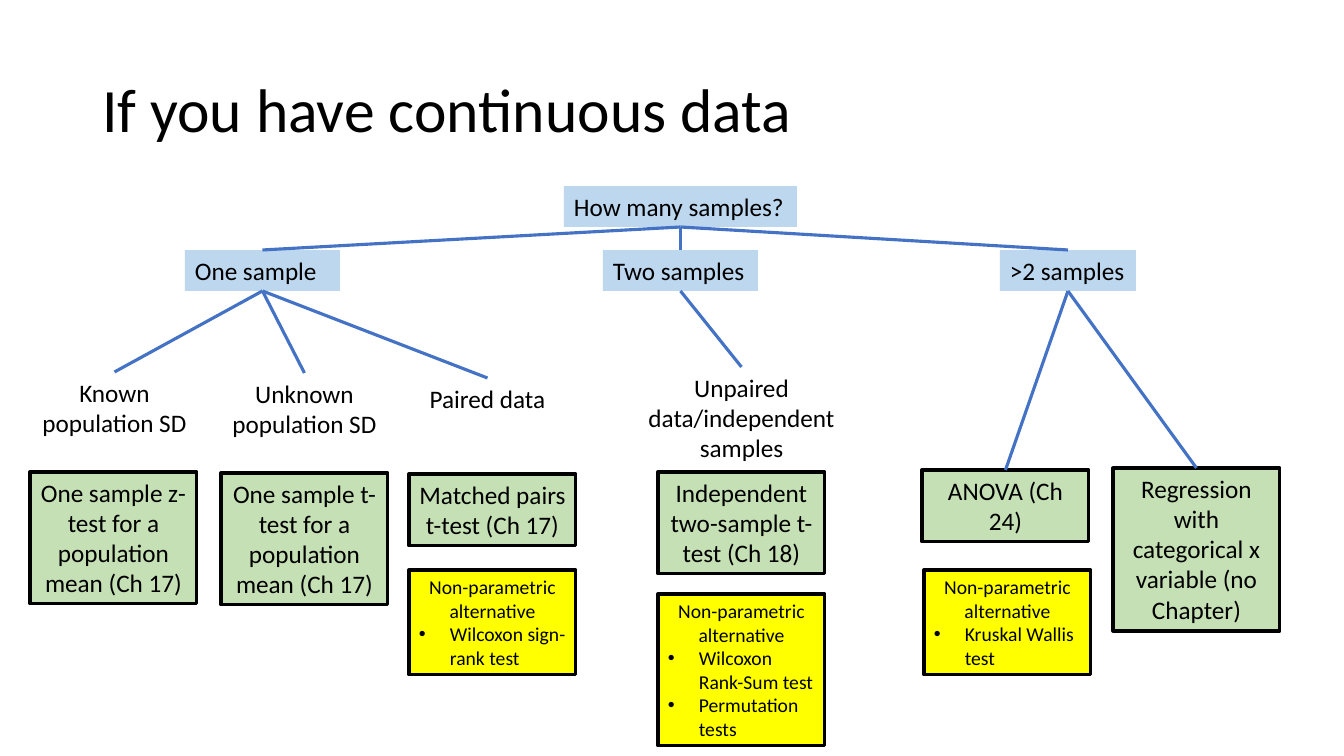
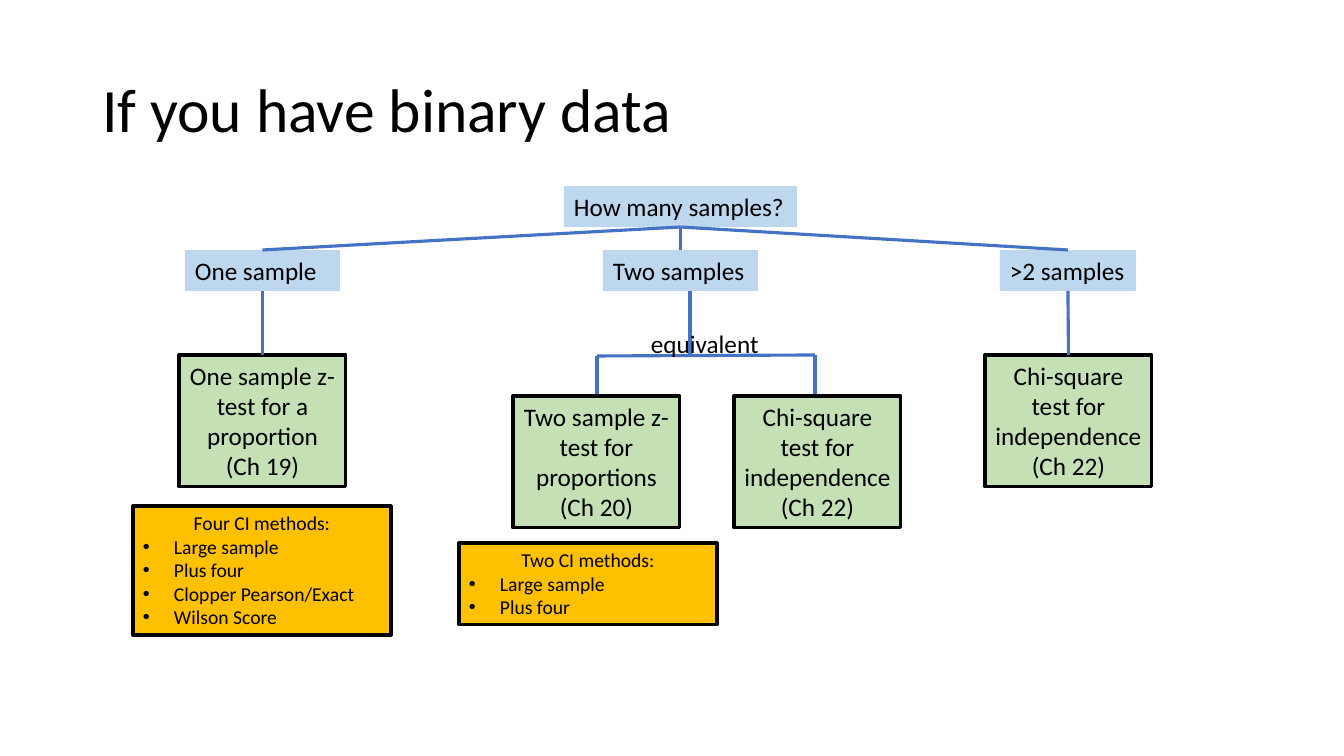
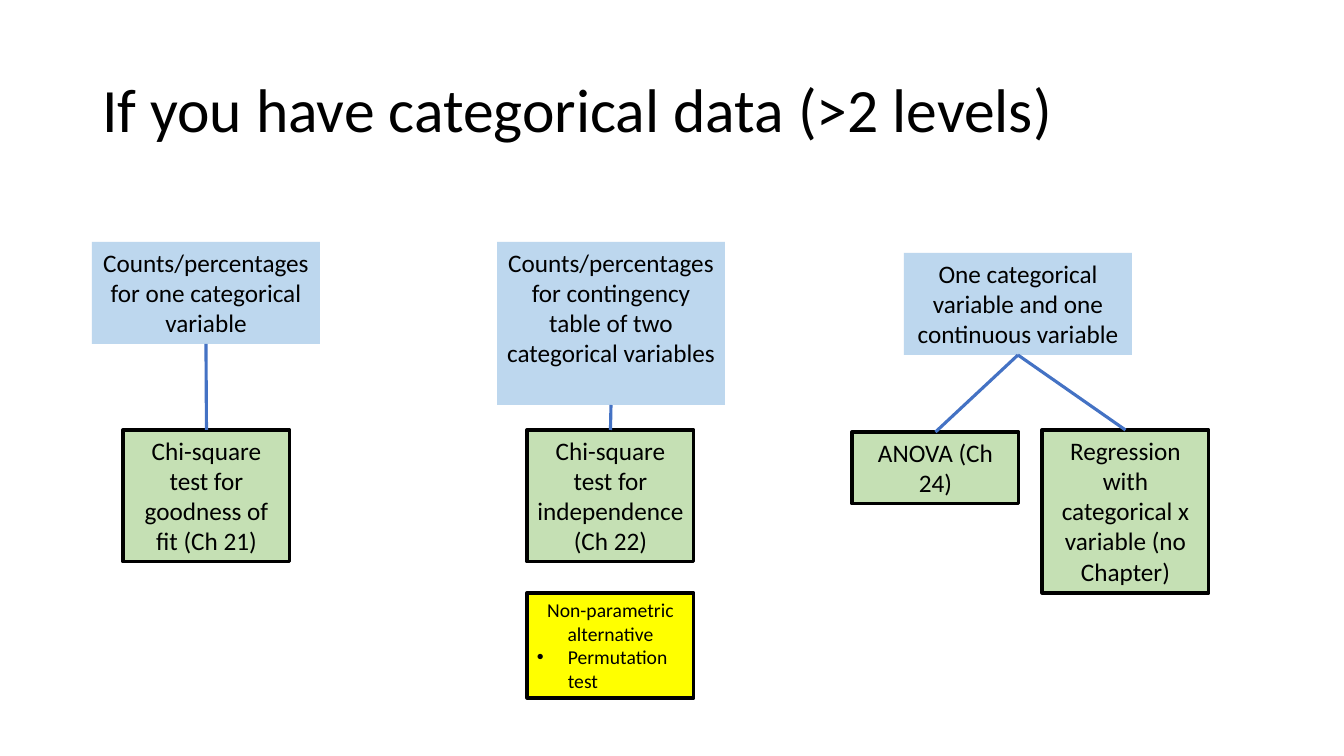
from lxml import etree
from pptx import Presentation
from pptx import util as u
from pptx.dml import color
from pptx.enum import shapes, text
from pptx.oxml import ns

PX = 914400 / 100.8
FONT = "Calibri"
BLACK, BLUE = "000000", "4472C4"
LEFT, CENTER = text.PP_ALIGN.LEFT, text.PP_ALIGN.CENTER
STROKE = u.Pt(2.25)
BULLET_INDENT = 31
BOTTOM_SITE, TOP_SITE = 2, 0

# kind: fill, outlined, text size, alignment of the first paragraph
STYLES = {
    "question": ("BDD7EE", False, 18, LEFT),
    "topic": ("BDD7EE", False, 18, CENTER),
    "case": (None, False, 18, CENTER),
    "remark": (None, False, 18, LEFT),
    "test": ("C5E0B4", True, 18, CENTER),
    "alternative": ("FFFF00", True, 14, CENTER),
    "methods": ("FFC000", True, 14, CENTER),
}


def paint(fill, hex_color):
    """Give a fill, line fill or font fill one solid colour."""
    fill.solid()
    fill.fore_color.rgb = color.RGBColor.from_string(hex_color)


def write(para, words, size):
    """Add one run of black text to a paragraph."""
    span = para.add_run()
    span.text = words
    span.font.name = FONT
    span.font.size = u.Pt(size)
    paint(span.font.fill, BLACK)


# Boxes: name, kind, (left, top, width, height), heading, then bullets
SAMPLE_BOXES = [
    ("samples", "question", (564, 186, 233, 41), "How many samples?"),
    ("one", "question", (185, 250, 155, 41), "One sample"),
    ("two", "question", (603, 250, 155, 41), "Two samples"),
    ("many", "question", (1000, 250, 136, 41), ">2 samples"),
]
SAMPLE_LINKS = [("samples", "one"), ("samples", "two"), ("samples", "many")]
NON_PARAMETRIC = "Non-parametric alternative"
ANOVA = "ANOVA (Ch 24)"
REGRESSION = "Regression with categorical x variable (no Chapter)"
INDEPENDENCE = "Chi-square test for independence (Ch 22)"

# Slides: title, boxes, links between boxes, free lines
SLIDES = [
    ("If you have continuous data",
     SAMPLE_BOXES + [
         ("known", "case", (31, 372, 167, 72), "Known population SD"),
         ("unknown", "case", (221, 373, 167, 72), "Unknown population SD"),
         ("paired", "case", (404, 378, 167, 41), "Paired data"),
         ("unpaired", "case", (625, 367, 233, 102),
          "Unpaired data/independent samples"),
         ("z", "test", (30, 472, 167, 132),
          "One sample z-test for a population mean (Ch 17)"),
         ("t", "test", (221, 473, 167, 132),
          "One sample t-test for a population mean (Ch 17)"),
         ("matched", "test", (409, 474, 167, 72),
          "Matched pairs t-test (Ch 17)"),
         ("independent", "test", (658, 472, 167, 102),
          "Independent two-sample t-test (Ch 18)"),
         ("anova", "test", (922, 470, 167, 72), ANOVA),
         ("regression", "test", (1113, 468, 167, 163), REGRESSION),
         ("sign", "alternative", (409, 570, 167, 105), NON_PARAMETRIC,
          "Wilcoxon sign-rank test"),
         ("kruskal", "alternative", (924, 570, 167, 105), NON_PARAMETRIC,
          "Kruskal Wallis test"),
         ("rank", "alternative", (658, 594, 167, 152), NON_PARAMETRIC,
          "Wilcoxon Rank-Sum test", "Permutation tests"),
     ],
     SAMPLE_LINKS + [("one", "known"), ("one", "unknown"), ("one", "paired"),
                     ("two", "unpaired"), ("many", "anova"),
                     ("many", "regression")],
     []),
    ("If you have binary data",
     SAMPLE_BOXES + [
         ("z", "test", (179, 355, 167, 132),
          "One sample z-test for a proportion (Ch 19)"),
         ("two z", "test", (513, 396, 167, 132),
          "Two sample z-test for proportions (Ch 20)"),
         ("two chi", "test", (734, 396, 167, 132), INDEPENDENCE),
         ("many chi", "test", (985, 355, 167, 132), INDEPENDENCE),
         ("equivalent", "remark", (641, 323, 213, 41), "equivalent"),
         ("four", "methods", (133, 506, 258, 129), "Four CI methods:",
          "Large sample", "Plus four", "Clopper Pearson/Exact",
          "Wilson Score"),
         ("pair", "methods", (459, 543, 258, 82), "Two CI methods:",
          "Large sample", "Plus four"),
     ],
     SAMPLE_LINKS + [("one", "z"), ("many", "many chi")],
     [(690, 291, 690, 356), (597, 356, 815, 355),
      (597, 356, 597, 396), (815, 355, 815, 395)]),
    ("If you have categorical data (>2 levels)",
     [
         ("counts", "topic", (92, 242, 228, 102),
          "Counts/percentages for one categorical variable"),
         ("table", "topic", (497, 242, 228, 163),
          "Counts/percentages for contingency table of two "
          "categorical variables"),
         ("mixed", "topic", (904, 253, 228, 102),
          "One categorical variable and one continuous variable"),
         ("goodness", "test", (123, 430, 167, 132),
          "Chi-square test for goodness of fit (Ch 21)"),
         ("independence", "test", (527, 430, 167, 132), INDEPENDENCE),
         ("anova", "test", (852, 432, 167, 72), ANOVA),
         ("regression", "test", (1042, 430, 167, 163), REGRESSION),
         ("permutation", "alternative", (527, 593, 167, 105),
          NON_PARAMETRIC, "Permutation test"),
     ],
     [("counts", "goodness"), ("table", "independence"),
      ("mixed", "anova"), ("mixed", "regression")],
     []),
]

deck = Presentation()
deck.slide_width, deck.slide_height = round(1344 * PX), round(756 * PX)
title_only = deck.slide_layouts[5]

for heading, boxes, links, free_lines in SLIDES:
    page = deck.slides.add_slide(title_only)
    title = page.shapes.title
    title.left, title.top, title.width, title.height = (
        round(n * PX) for n in (92, 40, 1159, 146))
    title.text_frame.vertical_anchor = text.MSO_ANCHOR.MIDDLE
    para = title.text_frame.paragraphs[0]
    para.alignment = LEFT
    para.line_spacing = 0.9
    write(para, heading, 44)

    lines = [page.shapes.add_connector(shapes.MSO_CONNECTOR.STRAIGHT,
                                       *(round(n * PX) for n in ends))
             for ends in free_lines]

    placed = {}
    for name, kind, area, first, *bullets in boxes:
        fill, outlined, size, align = STYLES[kind]
        place = [round(n * PX) for n in area]
        if fill:
            box = page.shapes.add_shape(shapes.MSO_SHAPE.RECTANGLE, *place)
            box.shadow.inherit = False
            paint(box.fill, fill)
            if outlined:
                paint(box.line.fill, BLACK)
                box.line.width = STROKE
            else:
                box.line.fill.background()
        else:
            box = page.shapes.add_textbox(*place)
        placed[name] = box

        frame = box.text_frame
        frame.word_wrap = True
        frame.vertical_anchor = text.MSO_ANCHOR.TOP
        para = frame.paragraphs[0]
        para.alignment = align
        write(para, first, size)
        for words in bullets:
            para = frame.add_paragraph()
            para.alignment = LEFT
            write(para, words, size)
            props = para._p.get_or_add_pPr()
            indent = round(BULLET_INDENT * PX)
            props.set("marL", str(indent))
            props.set("indent", str(-indent))
            etree.SubElement(props, ns.qn("a:buFont"), typeface="Arial")
            etree.SubElement(props, ns.qn("a:buChar"), char="•")

    for parent, child in links:
        line = page.shapes.add_connector(shapes.MSO_CONNECTOR.STRAIGHT,
                                         0, 0, 0, 0)
        line.begin_connect(placed[parent], BOTTOM_SITE)
        line.end_connect(placed[child], TOP_SITE)
        lines.append(line)

    for line in lines:
        paint(line.line.fill, BLUE)
        line.line.width = STROKE
        etree.SubElement(line._element.spPr, ns.qn("a:effectLst"))

deck.save("out.pptx")
